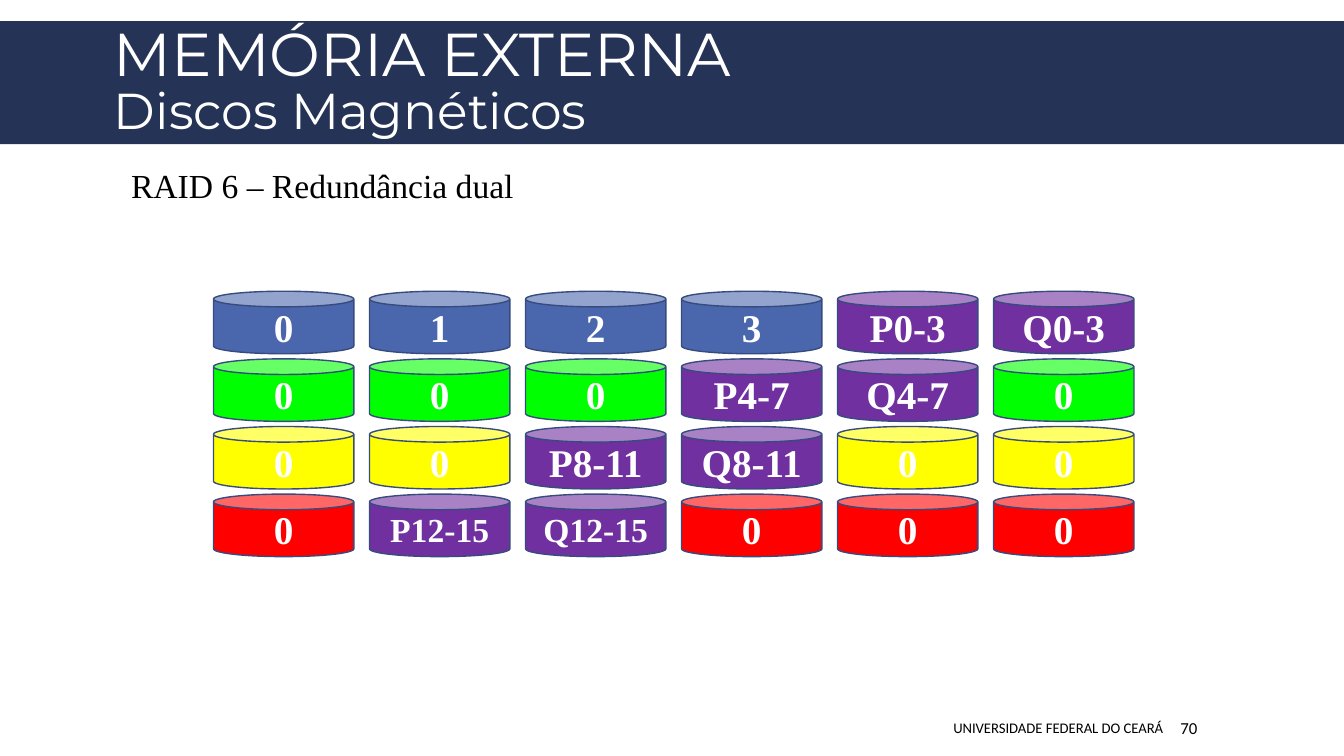
import dataclasses

import pptx
import pptx.dml.color
import pptx.enum.shapes
import pptx.enum.text
import pptx.oxml
import pptx.oxml.ns
import pptx.shapes.autoshape
import pptx.slide
import pptx.text.text
import pptx.util

Pt = pptx.util.Pt
ALIGN = pptx.enum.text.PP_ALIGN
ANCHOR = pptx.enum.text.MSO_ANCHOR
SHAPE = pptx.enum.shapes.MSO_SHAPE

COLOURS = {
    "band": "253356", "outline": "374B7F", "white": "FFFFFF", "black": "000000",
    "blue": "4A66AC", "green": "00FF00", "yellow": "FFFF00", "red": "FF0000",
    "parity": "7030A0",
}


@dataclasses.dataclass
class Stripe:
    colour: str
    labels: list[str]


@dataclasses.dataclass
class FooterItem:
    text: str
    left: float
    width: float
    size: float
    align: ALIGN
    inset_left: float


STRIPES = [
    Stripe("blue", ["0", "1", "2", "3", "P0-3", "Q0-3"]),
    Stripe("green", ["0", "0", "0", "P4-7", "Q4-7", "0"]),
    Stripe("yellow", ["0", "0", "P8-11", "Q8-11", "0", "0"]),
    Stripe("red", ["0", "P12-15", "Q12-15", "0", "0", "0"]),
]
FOOTER = [
    FooterItem("UNIVERSIDADE FEDERAL DO CEARÁ", 440.64, 397.44, 10.5, ALIGN.RIGHT, 7.2),
    FooterItem("70", 839.52, 74.16, 12, ALIGN.LEFT, 3.6),
]
GRID_LEFT, GRID_TOP = 152.5, 208
COLUMN_STEP, ROW_STEP = 111.44, 48.3
DISK_WIDTH, DISK_HEIGHT = 100.3, 44.7


def rgb(name: str) -> pptx.dml.color.RGBColor:
    return pptx.dml.color.RGBColor.from_string(COLOURS[name])


def add_span(para: pptx.text.text._Paragraph, text: str, size: float,
             font: str, colour: str, bold: bool = False) -> None:
    span = para.add_run()
    span.text = text
    span.font.size = Pt(size)
    span.font.name = font
    span.font.bold = bold
    span.font.color.rgb = rgb(colour)


def place(shape, left: float, top: float, width: float, height: float) -> None:
    shape.left, shape.top = Pt(left), Pt(top)
    shape.width, shape.height = Pt(width), Pt(height)


def add_block(page: pptx.slide.Slide, kind: SHAPE, left: float, top: float,
              width: float, height: float, colour: str) -> pptx.shapes.autoshape.Shape:
    block = page.shapes.add_shape(kind, Pt(left), Pt(top), Pt(width), Pt(height))
    block.shadow.inherit = False
    block.fill.solid()
    block.fill.fore_color.rgb = rgb(colour)
    return block


def add_header(page: pptx.slide.Slide) -> None:
    band = add_block(page, SHAPE.RECTANGLE, 0, 15.12, 960, 87.84, "band")
    band.line.fill.background()
    title = page.shapes.title
    title.element.addprevious(band.element)  # band sits behind the title
    place(title, 74.16, 18, 815.76, 83.52)
    frame = title.text_frame
    frame.auto_size = pptx.enum.text.MSO_AUTO_SIZE.NONE
    frame.vertical_anchor = ANCHOR.MIDDLE
    para = frame.paragraphs[0]
    para.alignment = ALIGN.LEFT
    para.line_spacing = 0.85
    add_span(para, "MEMÓRIA EXTERNA", 43.2, "Montserrat", "white")
    para.add_line_break()
    add_span(para, "Discos Magnéticos", 36, "Montserrat", "white")


def add_topic(page: pptx.slide.Slide) -> None:
    body = page.placeholders[1]
    place(body, 72, 117.36, 815.76, 44.64)
    frame = body.text_frame
    frame.auto_size = pptx.enum.text.MSO_AUTO_SIZE.NONE
    frame.vertical_anchor = ANCHOR.TOP
    para = frame.paragraphs[0]
    properties = para._p.get_or_add_pPr()
    properties.set("marL", str(Pt(14.4)))
    properties.set("indent", "0")
    properties.append(pptx.oxml.parse_xml(
        f"<a:buNone {pptx.oxml.ns.nsdecls('a')}/>"))
    para.line_spacing = 0.9
    para.space_before = Pt(0)
    para.space_after = Pt(2)
    add_span(para, "RAID 6 – Redundância dual", 24, "Times New Roman", "black")


def add_disk(page: pptx.slide.Slide, row: int, column: int, label: str, colour: str) -> None:
    disk = add_block(page, SHAPE.CAN, GRID_LEFT + column * COLUMN_STEP,
                     GRID_TOP + row * ROW_STEP, DISK_WIDTH, DISK_HEIGHT, colour)
    disk.line.color.rgb = rgb("outline")
    disk.line.width = Pt(1)
    disk.text_frame.vertical_anchor = ANCHOR.MIDDLE
    para = disk.text_frame.paragraphs[0]
    para.alignment = ALIGN.CENTER
    size = 24 if len(label) > 5 else 28
    add_span(para, label, size, "Times New Roman", "white", bold=True)


def add_footer_item(page: pptx.slide.Slide, item: FooterItem) -> None:
    box = page.shapes.add_textbox(Pt(item.left), Pt(505.44), Pt(item.width), Pt(28.8))
    frame = box.text_frame
    frame.word_wrap = True
    frame.vertical_anchor = ANCHOR.MIDDLE
    frame.margin_left = Pt(item.inset_left)
    para = frame.paragraphs[0]
    para.alignment = item.align
    add_span(para, item.text, item.size, "Calibri", "black")


def main() -> None:
    deck = pptx.Presentation()
    deck.slide_width, deck.slide_height = Pt(960), Pt(540)
    page = deck.slides.add_slide(deck.slide_layouts[1])

    # Heading and topic
    add_header(page)
    add_topic(page)

    # Disk array: one row per stripe, parity blocks in their own colour
    for row, stripe in enumerate(STRIPES):
        for column, label in enumerate(stripe.labels):
            colour = "parity" if label[0] in "PQ" else stripe.colour
            add_disk(page, row, column, label, colour)

    # Footer
    for item in FOOTER:
        add_footer_item(page, item)

    deck.save("out.pptx")


if __name__ == "__main__":
    main()
